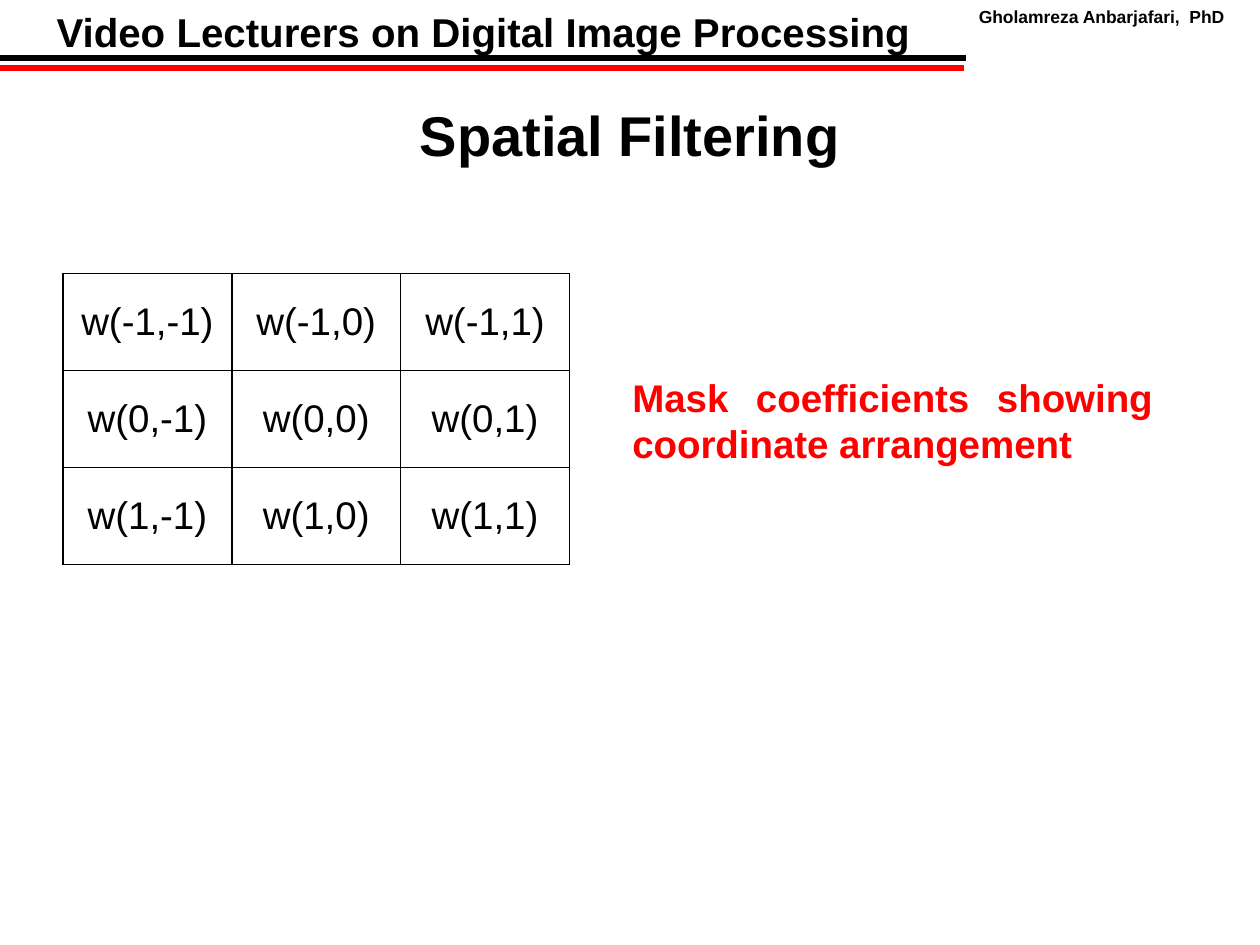
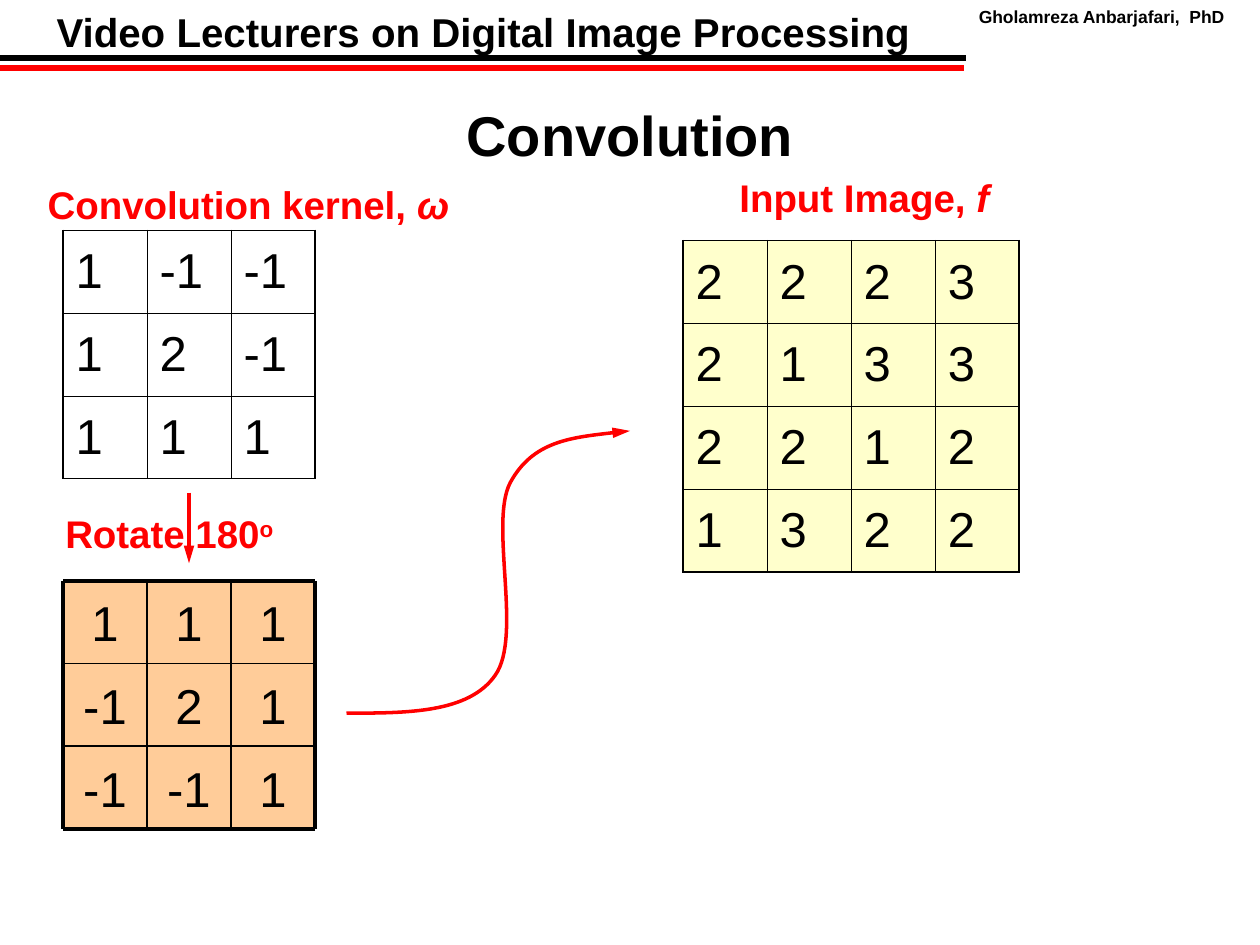
from lxml import etree
from pptx import Presentation
from pptx.dml.color import RGBColor
from pptx.enum.shapes import MSO_CONNECTOR, MSO_SHAPE
from pptx.enum.text import MSO_ANCHOR, MSO_AUTO_SIZE, PP_ALIGN
from pptx.oxml.ns import qn
from pptx.shapes.shapetree import SlideShapes
from pptx.util import Inches, Pt

STRAIGHT = MSO_CONNECTOR.STRAIGHT
RECTANGLE = MSO_SHAPE.RECTANGLE
TOP, MIDDLE = MSO_ANCHOR.TOP, MSO_ANCHOR.MIDDLE
GROW = MSO_AUTO_SIZE.SHAPE_TO_FIT_TEXT
LEFT, CENTER, JUSTIFY = PP_ALIGN.LEFT, PP_ALIGN.CENTER, PP_ALIGN.JUSTIFY

BLACK = RGBColor(0x00, 0x00, 0x00)
WHITE = RGBColor(0xFF, 0xFF, 0xFF)
RED = RGBColor(0xFF, 0x00, 0x00)
CREAM = RGBColor(0xFF, 0xFF, 0xCC)
ORANGE = RGBColor(0xFF, 0xCC, 0x99)

FONT = "Arial"
LABEL_SIZE, NUMBER_SIZE = 22, 28
THIN, THICK = 0.45, 1.08
GRID_INNER, GRID_OUTER = 1, 2.25
TITLE_ONLY = 5

KERNEL = [[1, -1, -1], [1, 2, -1], [1, 1, 1]]
ROTATED_KERNEL = [row[::-1] for row in KERNEL[::-1]]
INPUT_IMAGE = [[2, 2, 2, 3], [2, 1, 3, 3], [2, 2, 1, 2], [1, 3, 2, 2]]
COEFFICIENTS = [[f"w({x},{y})" for y in (-1, 0, 1)] for x in (-1, 0, 1)]
CURVE_START = (2.75, 5.66)
CURVE_POINTS = [
    (3.23, 5.66), (3.72, 5.66), (3.93, 5.36),
    (4.15, 5.05), (3.88, 4.15), (4.05, 3.83),
    (4.23, 3.5), (4.62, 3.46), (5, 3.42),
]


def style_paragraph(paragraph, size, color=BLACK, bold=False, align=LEFT):
    """Set the font and alignment of a whole paragraph."""
    paragraph.alignment = align
    font = paragraph.font
    font.name, font.size, font.bold = FONT, Pt(size), bold
    font.color.rgb = color


def add_label(shapes, box, text, size=LABEL_SIZE, color=RED, align=LEFT, wrap=True):
    """Add a bold text box and return its paragraph."""
    frame = shapes.add_textbox(*map(Inches, box)).text_frame
    frame.word_wrap = wrap
    frame.auto_size = GROW
    paragraph = frame.paragraphs[0]
    paragraph.add_run().text = text
    style_paragraph(paragraph, size, color, True, align)
    return paragraph


def add_line(shapes, start, end, color, width):
    """Add a straight line without a shadow."""
    line = shapes.add_connector(STRAIGHT, *map(Inches, start + end))
    line.line.color.rgb = color
    line.line.width = Pt(width)
    etree.SubElement(line._element.spPr, qn("a:effectLst"))
    return line


def add_arrowhead(shape):
    """Put a long triangle at the far end of a line."""
    outline = shape.line._get_or_add_ln()
    etree.SubElement(outline, qn("a:tailEnd"), type="triangle", w="med", len="lg")


def add_header(layout):
    """Draw the course name, author and double rule on the layout."""
    shapes = SlideShapes(layout.shapes.element, layout)
    add_line(shapes, (0, 0.46), (7.67, 0.46), BLACK, 3)
    add_line(shapes, (0, 0.54), (7.65, 0.54), RED, 3)
    add_label(shapes, (7.67, 0, 2.34, 0.27), "Gholamreza Anbarjafari,  PhD", 10, BLACK)
    add_label(shapes, (0.35, 0.01, 6.99, 0.49),
              "Video Lecturers on Digital Image Processing", 23, BLACK, wrap=False)


def add_titled_slide(presentation, layout, text):
    """Add a slide and format its title."""
    slide = presentation.slides.add_slide(layout)
    title = slide.shapes.title
    title.left, title.top, title.width, title.height = map(Inches, (0, 0.75, 10, 0.64))
    title.text_frame.text = text
    title.text_frame.vertical_anchor = TOP
    style_paragraph(title.text_frame.paragraphs[0], 32, bold=True, align=CENTER)
    return slide


def set_cell_borders(cell, widths):
    """Draw black left, right, top and bottom borders in the given widths."""
    properties = cell._tc.get_or_add_tcPr()
    for side, width in zip("LRTB", widths):
        border = etree.SubElement(properties, qn(f"a:ln{side}"), w=str(Pt(width)))
        fill = etree.SubElement(border, qn("a:solidFill"))
        etree.SubElement(fill, qn("a:srgbClr"), val=str(BLACK))


def add_matrix_table(shapes, box, values, size, fill=None, inner=THIN, align=LEFT):
    """Add a table of equal cells with a thicker outer border."""
    rows, columns = len(values), len(values[0])
    table = shapes.add_table(rows, columns, *map(Inches, box)).table
    table.first_row = table.horz_banding = False
    for row, row_values in enumerate(values):
        for column, value in enumerate(row_values):
            cell = table.cell(row, column)
            edges = (column == 0, column == columns - 1, row == 0, row == rows - 1)
            set_cell_borders(cell, [THICK if edge else inner for edge in edges])
            if fill is None:
                cell.fill.background()
            else:
                cell.fill.solid()
                cell.fill.fore_color.rgb = fill
            cell.vertical_anchor = MIDDLE
            cell.text = str(value)
            style_paragraph(cell.text_frame.paragraphs[0], size, align=align)


def add_matrix_group(shapes, box, values):
    """Add a grouped grid of filled squares with ruled lines over them."""
    left, top, width, height = box
    count = len(values)
    cell_width, cell_height = width / count, height / count
    group = shapes.add_group_shape().shapes
    for row, row_values in enumerate(values):
        for column, value in enumerate(row_values):
            place = (left + column * cell_width, top + row * cell_height,
                     cell_width, cell_height)
            square = group.add_shape(RECTANGLE, *map(Inches, place))
            square.shadow.inherit = False
            square.fill.solid()
            square.fill.fore_color.rgb = ORANGE
            square.line.fill.background()
            frame = square.text_frame
            frame.margin_left = frame.margin_right = 0
            frame.margin_top = frame.margin_bottom = 0
            frame.vertical_anchor = MIDDLE
            frame.text = str(value)
            style_paragraph(frame.paragraphs[0], NUMBER_SIZE, align=CENTER)
    for index in range(count + 1):
        weight = GRID_OUTER if index in (0, count) else GRID_INNER
        x, y = left + index * cell_width, top + index * cell_height
        add_line(group, (left, y), (left + width, y), BLACK, weight)
        add_line(group, (x, top), (x, top + height), BLACK, weight)


def add_curved_arrow(shapes, start, points):
    """Add a red arrow made of cubic curves, three points to each."""
    builder = shapes.build_freeform(*map(Inches, start))
    builder.add_line_segments([tuple(map(Inches, point)) for point in points], close=False)
    curve = builder.convert_to_shape()
    segments = list(curve._element.iter(qn("a:lnTo")))
    outline = segments[0].getparent()
    for index in range(0, len(segments), 3):
        cubic = etree.SubElement(outline, qn("a:cubicBezTo"))
        for segment in segments[index:index + 3]:
            cubic.append(segment[0])
            outline.remove(segment)
    curve.shadow.inherit = False
    curve.fill.background()
    curve.line.color.rgb = RED
    curve.line.width = Pt(2)
    add_arrowhead(curve)


def build_filtering_slide(presentation, layout):
    """Show the mask coefficients and their caption."""
    shapes = add_titled_slide(presentation, layout, "Spatial Filtering").shapes
    add_matrix_table(shapes, (0.5, 2.17, 4.02, 2.31), COEFFICIENTS, LABEL_SIZE,
                     WHITE, THICK, CENTER)
    add_label(shapes, (4.92, 2.92, 4.33, 0.84),
              "Mask coefficients showing coordinate arrangement", align=JUSTIFY)


def build_convolution_slide(presentation, layout):
    """Show the kernel, its rotation and the input image."""
    shapes = add_titled_slide(presentation, layout, "Convolution").shapes
    add_matrix_table(shapes, (0.5, 1.83, 2, 1.97), KERNEL, NUMBER_SIZE)
    add_matrix_table(shapes, (5.42, 1.91, 2.67, 2.63), INPUT_IMAGE, NUMBER_SIZE, CREAM)
    add_arrowhead(add_line(shapes, (1.5, 3.91), (1.5, 4.47), RED, 2))
    rotation = add_label(shapes, (0.42, 4, 2.67, 0.47), "Rotate 180")
    degree = rotation.add_run()
    degree.text = "o"
    degree._r.get_or_add_rPr().set("baseline", "30000")
    add_curved_arrow(shapes, CURVE_START, CURVE_POINTS)
    add_matrix_group(shapes, (0.5, 4.61, 2, 1.97), ROTATED_KERNEL)
    for box, caption, symbol_text in (
        ((0.28, 1.39, 3.42, 0.47), "Convolution kernel, ", "ω"),
        ((5.77, 1.33, 2.18, 0.47), "Input Image, ", "f"),
    ):
        symbol = add_label(shapes, box, caption, wrap=False).add_run()
        symbol.text = symbol_text
        symbol.font.italic = True


def main():
    """Build the presentation and save it."""
    presentation = Presentation()
    presentation.slide_width, presentation.slide_height = Inches(10), Inches(7.5)
    layout = presentation.slide_layouts[TITLE_ONLY]
    add_header(layout)
    build_filtering_slide(presentation, layout)
    build_convolution_slide(presentation, layout)
    presentation.save("out.pptx")


if __name__ == "__main__":
    main()
